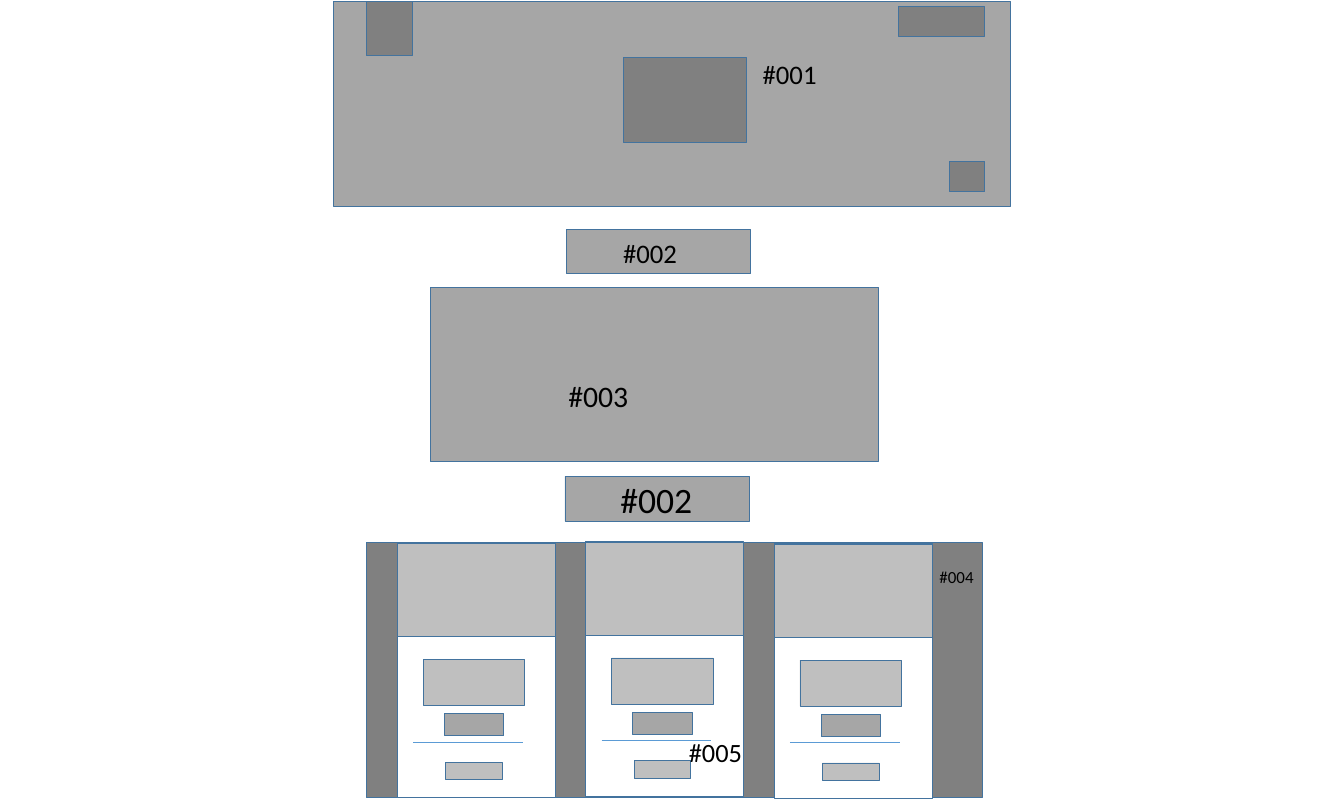
from pptx import Presentation
from pptx.dml.color import RGBColor
from pptx.enum.shapes import MSO_CONNECTOR, MSO_SHAPE
from pptx.enum.text import MSO_AUTO_SIZE
from pptx.oxml.ns import qn
from pptx.util import Emu, Pt
from lxml import etree

PX = 9144  # 100 px to the inch
MID, DARK, LIGHT, WHITE = "A6A6A6", "808080", "BFBFBF", "FFFFFF"
OUTLINE, RULE, INK = "43739E", "5B9BD5", "000000"

presentation = Presentation()
presentation.slide_width = Emu(1984 * PX)
presentation.slide_height = Emu(1185 * PX)
slide = presentation.slides.add_slide(presentation.slide_layouts[6])


def color(value):
    return RGBColor.from_string(value)


def add_box(left, top, width, height, fill):
    """Add an outlined rectangle, measured in px."""
    box = slide.shapes.add_shape(
        MSO_SHAPE.RECTANGLE, *(Emu(n * PX) for n in (left, top, width, height)))
    box.shadow.inherit = False
    box.fill.solid()
    box.fill.fore_color.rgb = color(fill)
    box.line.color.rgb = color(OUTLINE)
    box.line.width = Pt(1)


# Page sections: header with its items, two headings, main block, card strip
sections = [
    (492, 2, 1000, 302, MID),
    (920, 85, 182, 125, DARK),
    (1402, 238, 52, 45, DARK),
    (1327, 10, 126, 44, DARK),
    (541, 2, 68, 80, DARK),
    (836, 338, 272, 66, MID),
    (635, 424, 662, 257, MID),
    (834, 703, 272, 66, MID),
    (541, 800, 909, 377, DARK),
]
for section in sections:
    add_box(*section)

# Three cards with the same parts, placed relative to the card corner
card_parts = [
    (0, 0, 233, 376, WHITE),
    (0, 1, 233, 138, LIGHT),
    (71, 324, 84, 26, LIGHT),
    (38, 172, 150, 68, LIGHT),
    (69, 252, 88, 33, MID),
]
for card_left, card_top in [(587, 801), (865, 799), (1143, 802)]:
    for left, top, width, height, fill in card_parts:
        add_box(card_left + left, card_top + top, width, height, fill)
    rule_y = Emu((card_top + 294) * PX)
    rule = slide.shapes.add_connector(
        MSO_CONNECTOR.STRAIGHT, Emu((card_left + 23) * PX), rule_y,
        Emu((card_left + 185) * PX), rule_y)
    rule.line.color.rgb = color(RULE)
    rule.line.width = Pt(0.5)
    etree.SubElement(rule._element.spPr, qn("a:effectLst"))

labels = [
    ("#001", 1116, 81, 164, 58, 28.4),
    ("#002", 910, 344, 145, 58, 28.4),
    ("#003", 829, 552, 548, 63, 31.6),
    ("#002", 906, 701, 140, 74, 37.9),
    ("#004", 1377, 831, 180, 40, 18),
    ("#005", 1007, 1081, 112, 57, 28),
]
for text, left, top, width, height, size in labels:
    label = slide.shapes.add_textbox(
        *(Emu(n * PX) for n in (left, top, width, height)))
    label.text_frame.word_wrap = True
    label.text_frame.auto_size = MSO_AUTO_SIZE.SHAPE_TO_FIT_TEXT
    run = label.text_frame.paragraphs[0].add_run()
    run.text = text
    run.font.color.rgb = color(INK)
    for name, value in {"name": "Calibri", "size": Pt(size)}.items():
        setattr(run.font, name, value)

presentation.save("out.pptx")
